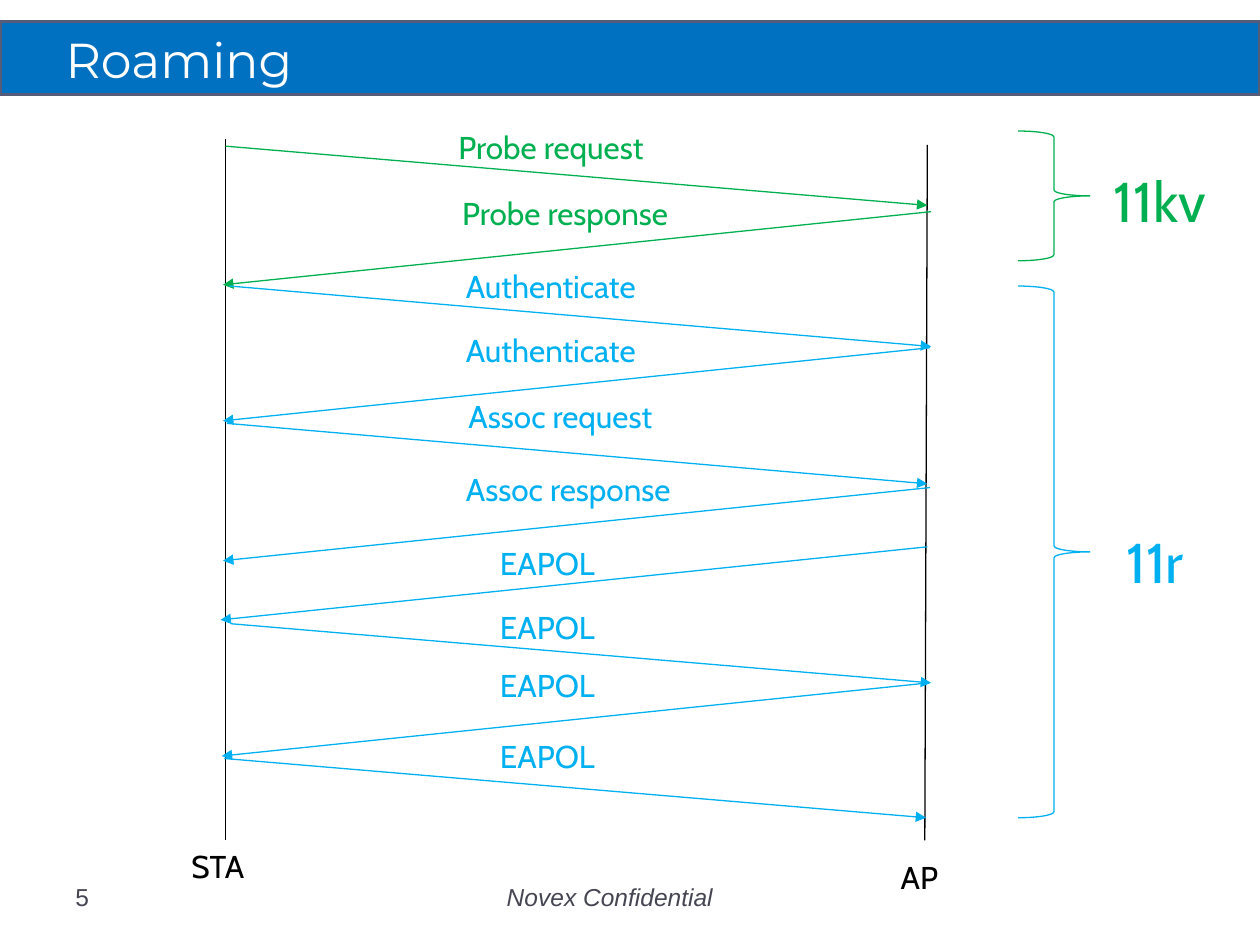
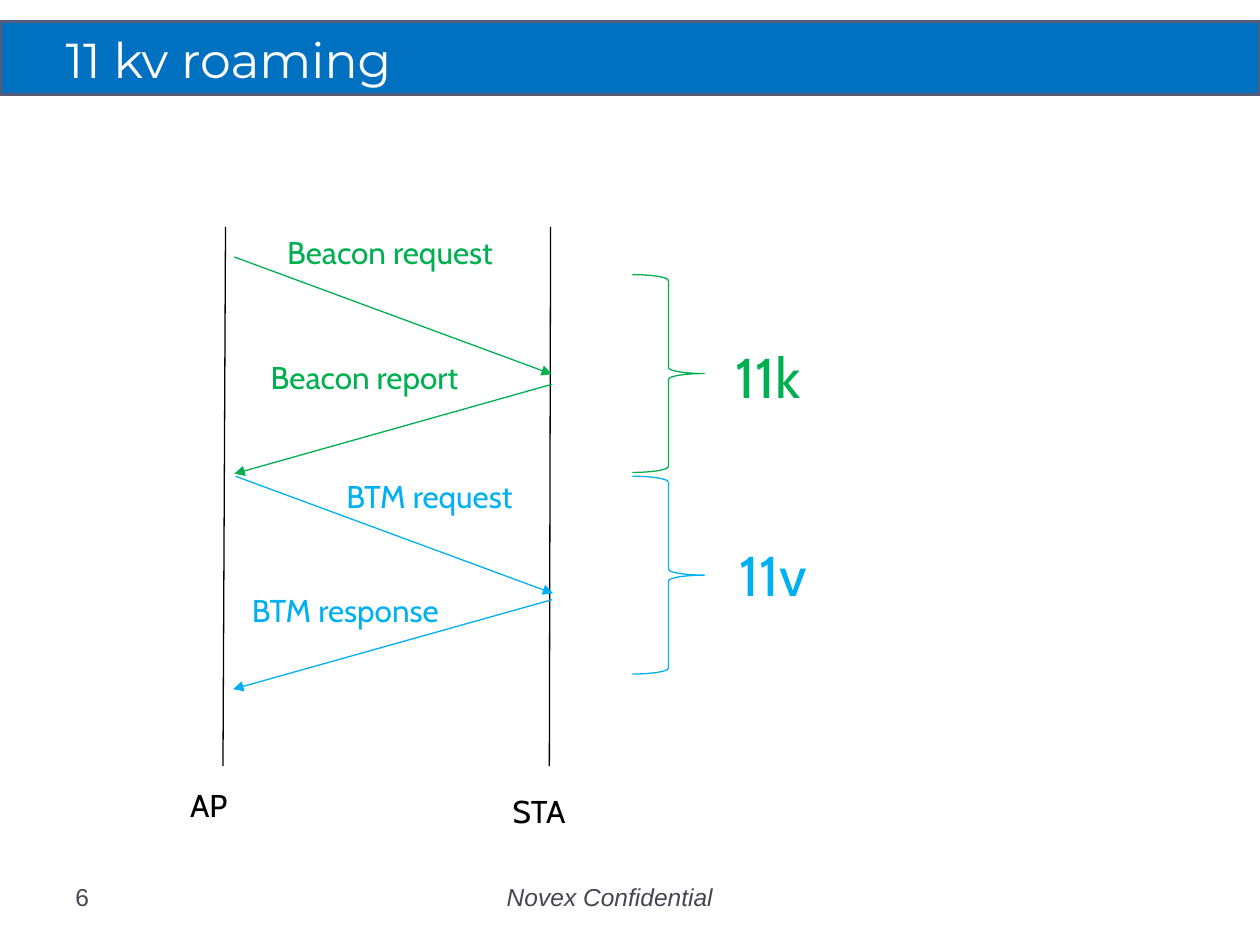
import pptx
import pptx.dml.color
import pptx.enum.shapes
import pptx.enum.text
import pptx.oxml.ns
import pptx.util
from lxml import etree

Inches = pptx.util.Inches
Pt = pptx.util.Pt
RGB = pptx.dml.color.RGBColor.from_string
ALIGN = pptx.enum.text.PP_ALIGN
ANCHOR = pptx.enum.text.MSO_ANCHOR
SHAPE = pptx.enum.shapes.MSO_SHAPE
qn = pptx.oxml.ns.qn

COLORS = {
    "band": "0070C0",
    "band_edge": "545C79",
    "white": "FFFFFF",
    "footer": "464653",
    "black": "000000",
    "green": "00B050",
    "blue": "00B0F0",
}
LABEL_SIZE = (1.93, 0.4)
LABEL_SIZES = {"Beacon report": (1.7, 0.71), "BTM request": (1.7, 0.71)}
BRACE_WIDTH = 0.57

PAGES = [
    {
        "title": "Roaming",
        "number": "5",
        "lifelines": [
            ("STA", (1.42, 6.67), (1.79, 1.1), (1.79, 6.67)),
            ("AP", (7.05, 6.76), (7.36, 1.15), (7.34, 6.67)),
        ],
        "messages": [
            ("Probe request", "green", (3.54, 0.97), (1.79, 1.16), (7.36, 1.63)),
            ("Probe response", "green", (3.57, 1.49), (7.39, 1.68), (1.77, 2.26)),
            ("Authenticate", "blue", (3.6, 2.07), (1.82, 2.27), (7.39, 2.75)),
            ("Authenticate", "blue", (3.6, 2.58), (7.38, 2.76), (1.77, 3.34)),
            ("Assoc request", "blue", (3.62, 3.1), (1.8, 3.36), (7.36, 3.84)),
            ("Assoc response", "blue", (3.6, 3.68), (7.38, 3.87), (1.77, 4.45)),
            ("EAPOL", "blue", (3.87, 4.27), (7.36, 4.34), (1.75, 4.92)),
            ("EAPOL", "blue", (3.87, 4.78), (1.83, 4.95), (7.39, 5.42)),
            ("EAPOL", "blue", (3.87, 5.24), (7.37, 5.42), (1.76, 6)),
            ("EAPOL", "blue", (3.87, 5.8), (1.78, 6.02), (7.35, 6.49)),
        ],
        "phases": [
            ("11kv", "green", (8.74, 1.27), (8.08, 1.04), 1.03),
            ("11r", "blue", (8.84, 4.14), (8.08, 2.27), 4.22),
        ],
    },
    {
        "title": "11 kv roaming",
        "number": "6",
        "lifelines": [
            ("AP", (1.41, 6.19), (1.79, 1.8), (1.77, 6.08)),
            ("STA", (3.97, 6.24), (4.37, 1.8), (4.36, 6.08)),
        ],
        "messages": [
            ("Beacon request", "green", (2.18, 1.8), (1.86, 2.04), (4.38, 2.97)),
            ("Beacon report", "green", (2.05, 2.79), (4.38, 3.05), (1.86, 3.76)),
            ("BTM request", "blue", (2.65, 3.74), (1.87, 3.78), (4.39, 4.71)),
            ("BTM response", "blue", (1.9, 4.64), (4.38, 4.76), (1.85, 5.47)),
        ],
        "phases": [
            ("11k", "green", (5.74, 2.67), (5.02, 2.18), 1.57),
            ("11v", "blue", (5.77, 4.24), (5.02, 3.78), 1.57),
        ],
    },
]


def write(page, text, at, size, box=None, points=18, font="Cabin", color="black",
          italic=False, align=ALIGN.LEFT, anchor=ANCHOR.TOP):
    place = [Inches(value) for value in (*at, *size)]
    if box is None:
        box = page.shapes.add_textbox(*place)
    box.left, box.top, box.width, box.height = place
    frame = box.text_frame
    frame.word_wrap = True
    frame.auto_size = pptx.enum.text.MSO_AUTO_SIZE.NONE
    frame.vertical_anchor = anchor
    para = frame.paragraphs[0]
    para.alignment = align
    span = para.add_run()
    span.text = text
    span.font.name = font
    span.font.size = Pt(points)
    span.font.italic = italic
    span.font.color.rgb = RGB(COLORS[color])


def draw_line(page, start, end, color="black", arrow=False):
    line = page.shapes.add_connector(
        pptx.enum.shapes.MSO_CONNECTOR.STRAIGHT,
        *[Inches(value) for value in (*start, *end)])
    line.line.color.rgb = RGB(COLORS[color])
    line.line.width = Pt(0.75)
    properties = line.element.spPr
    if arrow:
        etree.SubElement(properties.find(qn("a:ln")), qn("a:tailEnd"), type="triangle")
    etree.SubElement(properties, qn("a:effectLst"))


deck = pptx.Presentation()
deck.slide_width = Inches(10)
deck.slide_height = Inches(7.5)

for content in PAGES:
    page = deck.slides.add_slide(deck.slide_layouts[5])
    title = page.shapes.title
    band = page.shapes.add_shape(SHAPE.RECTANGLE, 0, Inches(0.17), Inches(10), Inches(0.58))
    band.shadow.inherit = False
    band.fill.solid()
    band.fill.fore_color.rgb = RGB(COLORS["band"])
    band.line.color.rgb = RGB(COLORS["band_edge"])
    band.line.width = Pt(2)
    title.element.addprevious(band.element)

    write(page, content["title"], (0.42, 0.17), (9, 0.58), box=title, points=28,
          font="Montserrat", color="white", anchor=ANCHOR.BOTTOM)
    write(page, "Novex Confidential", (2.67, 6.95), (4.34, 0.4), points=14,
          font="Arial", color="footer", italic=True, align=ALIGN.CENTER)
    write(page, content["number"], (0.5, 6.95), (2.17, 0.4), points=14,
          font="Arial", color="footer")

    for name, label_at, start, end in content["lifelines"]:
        draw_line(page, start, end)
        write(page, name, label_at, (0.75, 0.4))

    for name, color, label_at, start, end in content["messages"]:
        draw_line(page, start, end, color=color, arrow=True)
        write(page, name, label_at, LABEL_SIZES.get(name, LABEL_SIZE), color=color)

    for name, color, label_at, (left, top), height in content["phases"]:
        brace = page.shapes.add_shape(SHAPE.RIGHT_BRACE, Inches(left), Inches(top),
                                      Inches(BRACE_WIDTH), Inches(height))
        brace.shadow.inherit = False
        brace.fill.background()
        brace.line.color.rgb = RGB(COLORS[color])
        brace.line.width = Pt(0.75)
        write(page, name, label_at, (1.06, 0.64), points=32, color=color)

deck.save("out.pptx")
